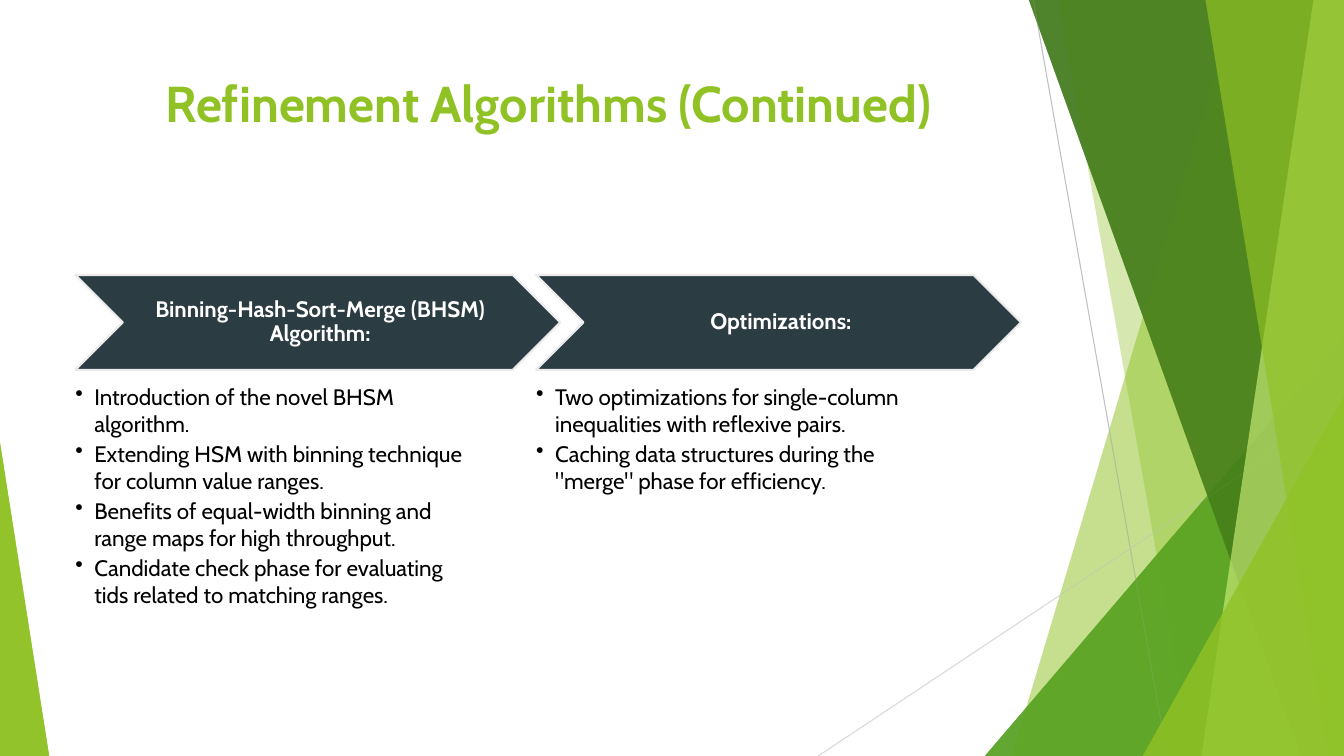
from dataclasses import dataclass

from lxml.etree import SubElement
from pptx import Presentation
from pptx.dml.color import RGBColor
from pptx.enum.shapes import MSO_CONNECTOR, MSO_SHAPE
from pptx.enum.text import MSO_ANCHOR, PP_ALIGN
from pptx.oxml.ns import qn
from pptx.util import Cm, Pt

WIDE, HIGH = 33.87, 19.05
FONT = "Cabin"
LIME, SLATE, WHITE, BLACK = "90C226", "2C3C43", "FFFFFF", "000000"


@dataclass
class Band:
    """A slanted band reaching the right edge of the slide."""
    top: float
    base: float
    color: str
    alpha: int


@dataclass
class Wedge:
    """A right triangle standing on the bottom edge."""
    left: float
    top: float
    width: float
    apex: float
    color: str
    alpha: int


@dataclass
class Ray:
    start: tuple[float, float]
    end: tuple[float, float]
    color: str


@dataclass
class Step:
    head: str
    points: list[str]


FACETS = [
    Band(31.19, 25.5, LIME, 30),
    Band(26.67, 30.05, LIME, 20),
    Wedge(24.82, 8.46, 9.05, 1, "54A021", 72),
    Band(25.93, 32.79, "3F7818", 70),
    Band(33.1, 30.28, "BFE471", 70),
    Band(30.38, 33.48, LIME, 65),
    Wedge(28.8, 9.98, 5.07, 1, LIME, 80),
    Wedge(0, 11.15, 1.24, 0, LIME, 85),
]
RAYS = [
    Ray((26.04, 0), (29.41, HIGH), "BFBFBF"),
    Ray((WIDE, 10.24), (20.62, HIGH), "D8D8D8"),
]
STEPS = [
    Step("Binning-Hash-Sort-Merge (BHSM) Algorithm:", [
        "Introduction of the novel BHSM algorithm.",
        "Extending HSM with binning technique for column value ranges.",
        "Benefits of equal-width binning and range maps for high throughput.",
        "Candidate check phase for evaluating tids related to matching ranges.",
    ]),
    Step("Optimizations:", [
        "Two optimizations for single-column inequalities with reflexive pairs.",
        'Caching data structures during the "merge" phase for efficiency.',
    ]),
]


def rgb(color: str) -> RGBColor:
    return RGBColor.from_string(color)


def paint(shape, color: str) -> None:
    shape.shadow.inherit = False
    shape.fill.solid()
    shape.fill.fore_color.rgb = rgb(color)


def draw_facet(slide, facet: Band | Wedge) -> None:
    if isinstance(facet, Band):
        maker = slide.shapes.build_freeform(Cm(facet.top), 0)
        maker.add_line_segments([
            (Cm(WIDE), 0), (Cm(WIDE), Cm(HIGH)), (Cm(facet.base), Cm(HIGH))])
        shape = maker.convert_to_shape()
    else:
        shape = slide.shapes.add_shape(
            MSO_SHAPE.ISOSCELES_TRIANGLE, Cm(facet.left), Cm(facet.top),
            Cm(facet.width), Cm(HIGH - facet.top))
        shape.adjustments[0] = facet.apex
    paint(shape, facet.color)
    shape.line.fill.background()
    tint = shape._element.spPr.find(qn("a:solidFill"))[0]
    SubElement(tint, qn("a:alpha")).set("val", str(facet.alpha * 1000))


def draw_ray(slide, ray: Ray) -> None:
    line = slide.shapes.add_connector(
        MSO_CONNECTOR.STRAIGHT, *map(Cm, ray.start + ray.end))
    line.line.color.rgb = rgb(ray.color)
    line.line.width = Pt(0.75)
    SubElement(line._element.spPr, qn("a:effectLst"))


def set_frame(shape, left: float, top: float, right: float, base: float):
    """Turn wrapping on, set the margins and return the text frame."""
    frame = shape.text_frame
    frame.word_wrap = True
    frame.margin_left, frame.margin_top = Cm(left), Cm(top)
    frame.margin_right, frame.margin_bottom = Cm(right), Cm(base)
    return frame


def add_run(para, text: str, size: int, color: str, bold: bool = False) -> None:
    run = para.add_run()
    run.text = text
    run.font.name, run.font.size, run.font.bold = FONT, Pt(size), bold
    run.font.color.rgb = rgb(color)


def add_bullet(para) -> None:
    props = para._p.get_or_add_pPr()
    props.set("marL", str(Cm(0.48)))
    props.set("indent", str(-Cm(0.48)))
    tint = SubElement(props, qn("a:buClr"))
    SubElement(tint, qn("a:srgbClr")).set("val", BLACK)
    SubElement(props, qn("a:buChar")).set("char", "•")


def draw_title(slide, text: str) -> None:
    box = slide.shapes.add_textbox(Cm(1.88), Cm(1.7), Cm(23.88), Cm(3.66))
    para = set_frame(box, 0.25, 0.13, 0.25, 0.13).paragraphs[0]
    para.alignment = PP_ALIGN.CENTER
    add_run(para, text, 36, LIME, True)


def draw_step(slide, step: Step, left: float) -> None:
    arrow = slide.shapes.add_shape(
        MSO_SHAPE.CHEVRON, Cm(left), Cm(6.93), Cm(12.22), Cm(2.39))
    paint(arrow, SLATE)
    arrow.line.color.rgb = rgb("EBEBEB")
    arrow.line.width = Pt(1.5)
    frame = set_frame(arrow, 0.18, 0.06, 0.06, 0.06)
    frame.vertical_anchor = MSO_ANCHOR.MIDDLE
    head = frame.paragraphs[0]
    head.alignment = PP_ALIGN.CENTER
    head.line_spacing = 0.9
    add_run(head, step.head, 16, WHITE, True)

    box = slide.shapes.add_textbox(Cm(left), Cm(9.65), Cm(9.78), Cm(6.2))
    frame = set_frame(box, 0, 0, 0, 0)
    for i, text in enumerate(step.points):
        para = frame.add_paragraph() if i else frame.paragraphs[0]
        add_bullet(para)
        if i:
            para.space_before = Pt(2.4)
        add_run(para, text, 16, BLACK)


def main() -> None:
    deck = Presentation()
    deck.slide_width, deck.slide_height = Cm(WIDE), Cm(HIGH)
    slide = deck.slides.add_slide(deck.slide_layouts[6])
    # Two coats of facets deepen the colours; the rays lie between them.
    for rays in ([], RAYS):
        for ray in rays:
            draw_ray(slide, ray)
        for facet in FACETS:
            draw_facet(slide, facet)
    draw_title(slide, "Refinement Algorithms (Continued)")
    for i, step in enumerate(STEPS):
        draw_step(slide, step, 1.9 + i * 11.61)
    deck.save("out.pptx")


if __name__ == "__main__":
    main()
